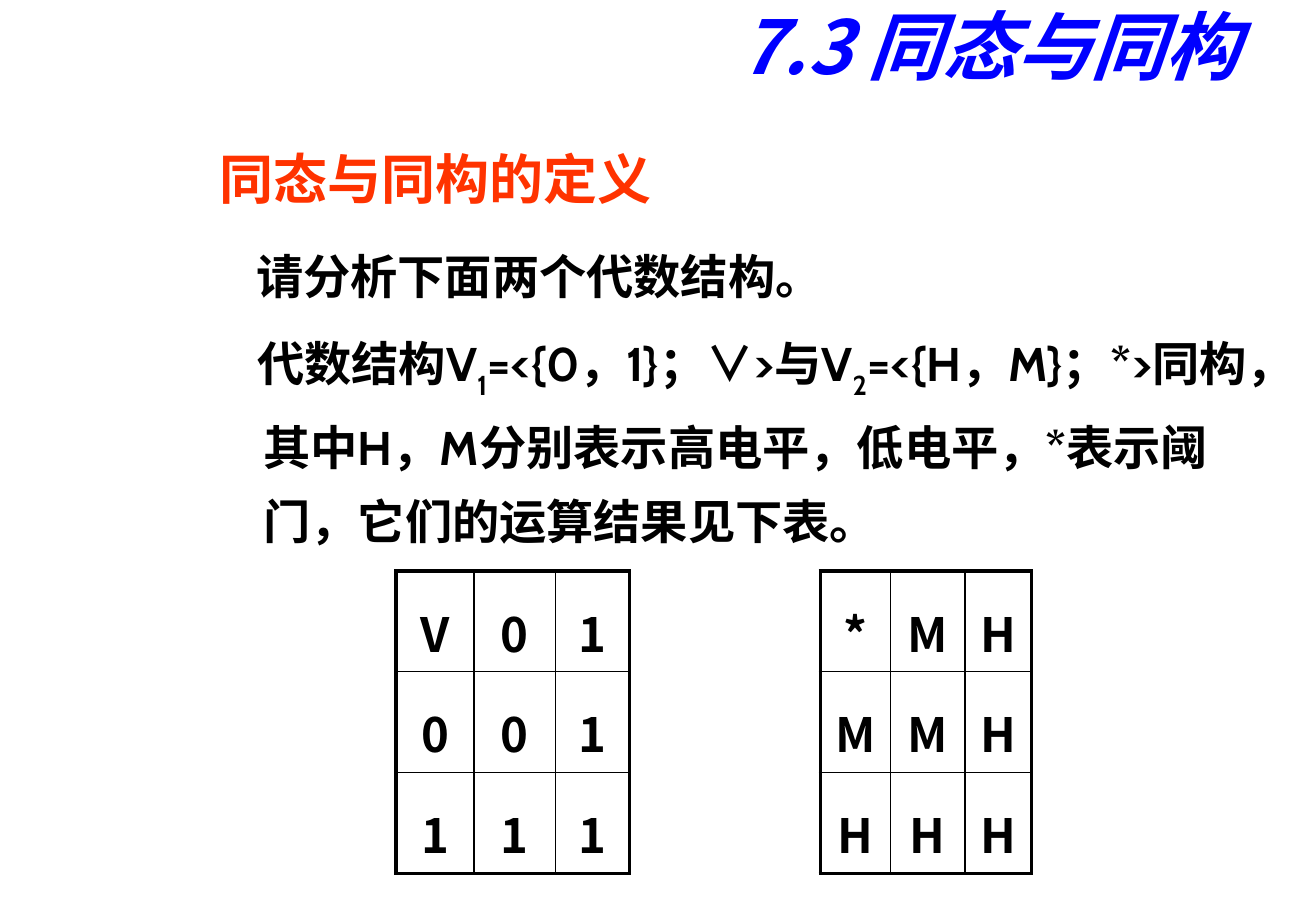
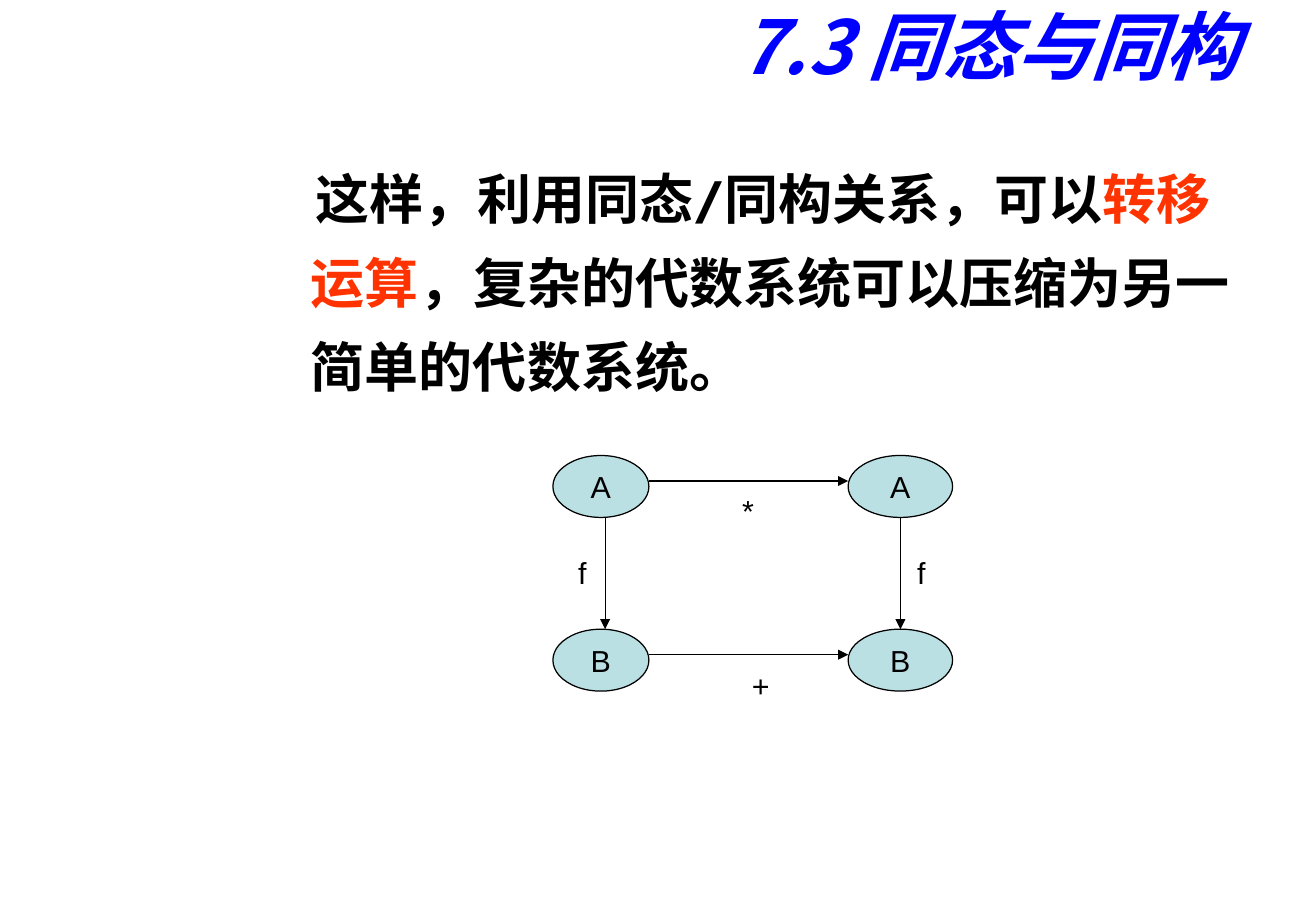
from lxml import etree
from pptx import Presentation
from pptx.dml.color import RGBColor
from pptx.enum.shapes import MSO_CONNECTOR, MSO_SHAPE
from pptx.enum.text import MSO_ANCHOR, PP_ALIGN
from pptx.oxml.ns import qn
from pptx.util import Inches, Pt

BLACK, BLUE, RED, PALE = "000000", "0000FF", "FF3300", "BBE0E3"
SANS, LATIN, SERIF, LABEL = "Noto Sans CJK SC", "Cabin", "Times New Roman", "Arial"
LINE_SPACING = 1.3


def color(value):
    """Turn a hex string into a colour."""
    return RGBColor.from_string(value)


def add_run(paragraph, text, size, font=LATIN, fill=BLACK, bold=True, italic=False, baseline=0):
    """Add one run of formatted text."""
    run = paragraph.add_run()
    run.text = text
    run.font.size, run.font.name = Pt(size), font
    run.font.bold, run.font.italic = bold, italic
    run.font.color.rgb = color(fill)
    properties = run._r.get_or_add_rPr()
    if baseline:
        properties.set("baseline", str(baseline))
    if font == SANS:
        etree.SubElement(properties, qn("a:ea")).set("typeface", font)


def add_text_frame(slide, left, top, width, height, anchor=MSO_ANCHOR.TOP, wrap=True):
    """Add a text box and return its text frame."""
    box = slide.shapes.add_textbox(Inches(left), Inches(top), Inches(width), Inches(height))
    box.text_frame.word_wrap = wrap
    box.text_frame.vertical_anchor = anchor
    return box.text_frame


def format_body(paragraph, space_before, first_line):
    """Give a body paragraph its spacing and first-line offset."""
    paragraph.line_spacing = LINE_SPACING
    paragraph.space_before = Pt(space_before)
    properties = paragraph._p.get_or_add_pPr()
    properties.set("marL", str(Inches(0.67)))
    properties.set("indent", str(Inches(first_line)))


def add_title(slide):
    """Place the section title shared by the slides."""
    frame = add_text_frame(slide, 2.12, -0.01, 8.34, 0.76, MSO_ANCHOR.MIDDLE)
    frame.margin_right = Inches(0.26)
    paragraph = frame.paragraphs[0]
    paragraph.alignment = PP_ALIGN.RIGHT
    add_run(paragraph, "7.3 同态与同构", 44, SANS, BLUE, italic=True)


def add_definition(slide, left, top, width, height):
    """Place the heading and the text on the two structures."""
    frame = add_text_frame(slide, left, top, width, height)
    heading = frame.paragraphs[0]
    format_body(heading, 6.4, -0.36)
    add_run(heading, "同态与同构的定义", 32, SANS, RED)

    question = frame.add_paragraph()
    format_body(question, 12, -0.06)
    question.alignment = PP_ALIGN.JUSTIFY
    add_run(question, "请分析下面两个代数结构。", 28)

    structures = frame.add_paragraph()
    format_body(structures, 6, -0.05)
    for text, font, baseline in (
        ("代数结构V", LATIN, 0),
        ("1", LATIN, -30000),
        ("=<{0，1}；", LATIN, 0),
        ("∨", SERIF, 0),
        (">与V", LATIN, 0),
        ("2", LATIN, -30000),
        ("=<{H，M}；*>同构，其中H，M分别表示高电平，低电平，"
         "*表示阈门，它们的运算结果见下表。", LATIN, 0),
    ):
        add_run(structures, text, 28, font, baseline=baseline)


def set_border(cell, side, width):
    """Draw one black border of a cell."""
    line = etree.SubElement(cell._tc.get_or_add_tcPr(), qn(f"a:ln{side}"), w=str(Pt(width)))
    fill = etree.SubElement(line, qn("a:solidFill"))
    etree.SubElement(fill, qn("a:srgbClr"), val=BLACK)


def add_operation_table(slide, left, top, widths, rows):
    """Place an operation table with a thick frame and thin inner lines."""
    row_height, last_row, last_column = 0.83, len(rows) - 1, len(widths) - 1
    frame = slide.shapes.add_table(len(rows), len(widths), Inches(left), Inches(top),
                                   Inches(sum(widths)), Inches(row_height * len(rows)))
    table = frame.table
    table.first_row = table.horz_banding = False
    for column, width in zip(table.columns, widths):
        column.width = Inches(width)
    for row_index, symbols in enumerate(rows):
        table.rows[row_index].height = Inches(row_height)
        for column_index, symbol in enumerate(symbols):
            cell = table.cell(row_index, column_index)
            paragraph = cell.text_frame.paragraphs[0]
            paragraph.alignment = PP_ALIGN.CENTER
            paragraph.line_spacing = LINE_SPACING
            add_run(paragraph, symbol, 28, SANS)
            outer = {"L": column_index == 0, "R": column_index == last_column,
                     "T": row_index == 0, "B": row_index == last_row}
            for side, thick in outer.items():
                set_border(cell, side, 2.25 if thick else 1)
            cell.fill.background()


def add_conclusion(slide, left, top, width, height):
    """Place the paragraph on carrying operations over."""
    paragraph = add_text_frame(slide, left, top, width, height).paragraphs[0]
    format_body(paragraph, 6.4, 0.04)
    add_run(paragraph, "这样，利用同态/同构关系，可以", 32)
    add_run(paragraph, "转移运算", 32, fill=RED)
    add_run(paragraph, "，复杂的代数系统可以压缩为另一简单的代数系统。", 32)


def add_label(frame, text):
    """Write a centred diagram label into a text frame."""
    frame.word_wrap = False
    frame.vertical_anchor = MSO_ANCHOR.MIDDLE
    paragraph = frame.paragraphs[0]
    paragraph.alignment = PP_ALIGN.CENTER
    add_run(paragraph, text, 18, LABEL, bold=False)


def add_node(slide, left, top, width, height, text):
    """Place one ellipse of the diagram."""
    node = slide.shapes.add_shape(MSO_SHAPE.OVAL, Inches(left), Inches(top),
                                  Inches(width), Inches(height))
    node.shadow.inherit = False
    node.fill.solid()
    node.fill.fore_color.rgb = color(PALE)
    node.line.color.rgb = color(BLACK)
    node.line.width = Pt(0.75)
    add_label(node.text_frame, text)


def add_arrow(slide, start_x, start_y, end_x, end_y):
    """Draw a thin arrow between two points."""
    arrow = slide.shapes.add_connector(MSO_CONNECTOR.STRAIGHT, Inches(start_x), Inches(start_y),
                                       Inches(end_x), Inches(end_y))
    arrow.line.color.rgb = color(BLACK)
    arrow.line.width = Pt(0.75)
    etree.SubElement(arrow.line._get_or_add_ln(), qn("a:tailEnd"), type="triangle")
    etree.SubElement(arrow._element.spPr, qn("a:effectLst"))


def add_mapping_diagram(slide, left, top):
    """Place the square of mappings between A and B."""
    node_height, row_gap, right_column = 0.51, 1.43, 2.43
    left_width, right_width = 0.79, 0.86
    for row, text in enumerate("AB"):
        row_top = top + row * row_gap
        add_node(slide, left, row_top, left_width, node_height, text)
        add_node(slide, left + right_column, row_top, right_width, node_height, text)
        add_arrow(slide, left + left_width, row_top + 0.21, left + right_column, row_top + 0.21)
    for x in (left + 0.43, left + right_column + 0.43):
        add_arrow(slide, x, top + node_height, x, top + row_gap)
    for x, y, width, text in ((0.11, 0.81, 0.21, "f"), (2.9, 0.81, 0.21, "f"),
                              (1.46, 0.3, 0.21, "*"), (1.54, 1.74, 0.26, "+")):
        add_label(add_text_frame(slide, left + x, top + y, width, 0.31), text)


def add_definition_slide(presentation):
    """Build the slide with the two operation tables."""
    slide = presentation.slides.add_slide(presentation.slide_layouts[6])
    add_definition(slide, 1.4, 0.99, 8.98, 6.22)
    add_title(slide)
    add_operation_table(slide, 3.26, 4.7, (0.64, 0.67, 0.61), ("V01", "001", "111"))
    add_operation_table(slide, 6.75, 4.7, (0.58, 0.61, 0.55), ("*MH", "MMH", "HHH"))


def add_conclusion_slide(presentation):
    """Build the slide with the mapping diagram."""
    slide = presentation.slides.add_slide(presentation.slide_layouts[6])
    add_conclusion(slide, 1.79, 1.15, 8.59, 6.06)
    add_title(slide)
    add_mapping_diagram(slide, 4.55, 3.75)


def main():
    """Build and save the presentation."""
    presentation = Presentation()
    presentation.slide_width, presentation.slide_height = Inches(10.83), Inches(7.5)
    add_definition_slide(presentation)
    add_conclusion_slide(presentation)
    presentation.save("out.pptx")


main()
